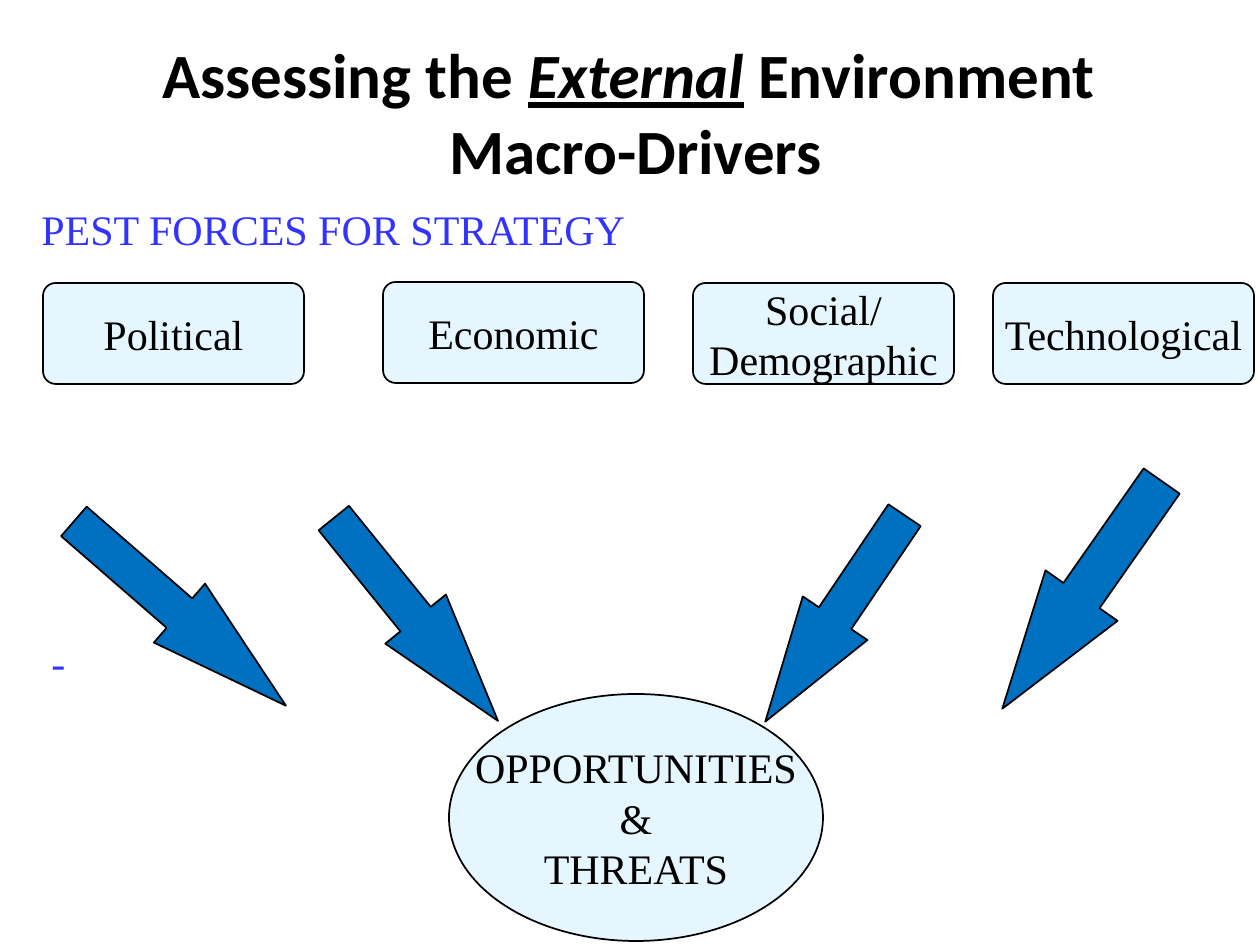
"""Build a slide on the PEST forces that lead to opportunities and threats."""
from pptx import Presentation
from pptx.dml.color import RGBColor
from pptx.enum.shapes import MSO_SHAPE
from pptx.enum.text import MSO_ANCHOR, PP_ALIGN
from pptx.util import Pt

PX = 914400 / 126
BLACK = RGBColor(0x00, 0x00, 0x00)
VIOLET = RGBColor(0x33, 0x33, 0xFF)
PALE = RGBColor(0xE6, 0xF6, 0xFF)
BLUE = RGBColor(0x00, 0x70, 0xC0)


def place(*lengths):
    return [round(n * PX) for n in lengths]


def add_outlined(kind, box, fill, text=""):
    sp = s.shapes.add_shape(kind, *place(*box))
    sp.shadow.inherit = False
    sp.fill.solid()
    sp.fill.fore_color.rgb = fill
    sp.line.color.rgb = BLACK
    sp.line.width = Pt(1)
    if text:
        tf = sp.text_frame
        tf.text = text
        tf.word_wrap = False
        tf.vertical_anchor = MSO_ANCHOR.MIDDLE
        for p in tf.paragraphs:
            p.alignment = PP_ALIGN.CENTER
            p.font.name = "Times New Roman"
            p.font.size = Pt(24)
            p.font.color.rgb = BLACK
    return sp


prs = Presentation()
prs.slide_width, prs.slide_height = place(1260, 945)
s = prs.slides.add_slide(prs.slide_layouts[6])

title = s.shapes.add_textbox(*place(32, 32, 1207, 158))
tf = title.text_frame
tf.word_wrap = True
tf.vertical_anchor = MSO_ANCHOR.MIDDLE
p = tf.paragraphs[0]
p.alignment = PP_ALIGN.CENTER
p.font.name = "Calibri"
p.font.size = Pt(36)
p.font.bold = True
p.font.color.rgb = BLACK
p.add_run().text = "Assessing the "
r = p.add_run()
r.text = "External"
r.font.italic = True
r.font.underline = True
p.add_run().text = " Environment "
p.add_line_break()
p.add_run().text = "Macro-Drivers"

for text, box in [
    ("PEST FORCES FOR STRATEGY", (29, 197, 696, 64)),
    ("-", (39, 630, 604, 63)),
]:
    tf = s.shapes.add_textbox(*place(*box)).text_frame
    tf.text = text
    tf.word_wrap = True
    p = tf.paragraphs[0]
    p.space_before = Pt(3)
    p.font.name = "Times New Roman"
    p.font.size = Pt(24)
    p.font.color.rgb = VIOLET

for text, left, top in [
    ("Political", 43, 283),
    ("Economic", 383, 282),
    ("Social/\nDemographic", 693, 283),
    ("Technological", 993, 283),
]:
    sp = add_outlined(MSO_SHAPE.ROUNDED_RECTANGLE, (left, top, 261, 101), PALE, text)
    sp.adjustments[0] = 0.125

for box, angle, head in [
    ((141, 473, 78, 281), 311, 1.81),
    ((377, 489, 78, 261), 321, 1.68),
    ((796, 494, 78, 249), 34, 1.6),
    ((1038, 456, 88, 278), 35, 1.57),
]:
    sp = add_outlined(MSO_SHAPE.DOWN_ARROW, box, BLUE)
    sp.rotation = angle
    sp.adjustments[0] = 0.5
    sp.adjustments[1] = head

add_outlined(MSO_SHAPE.OVAL, (449, 694, 374, 247), PALE, "OPPORTUNITIES\n&\nTHREATS")

prs.save("out.pptx")
